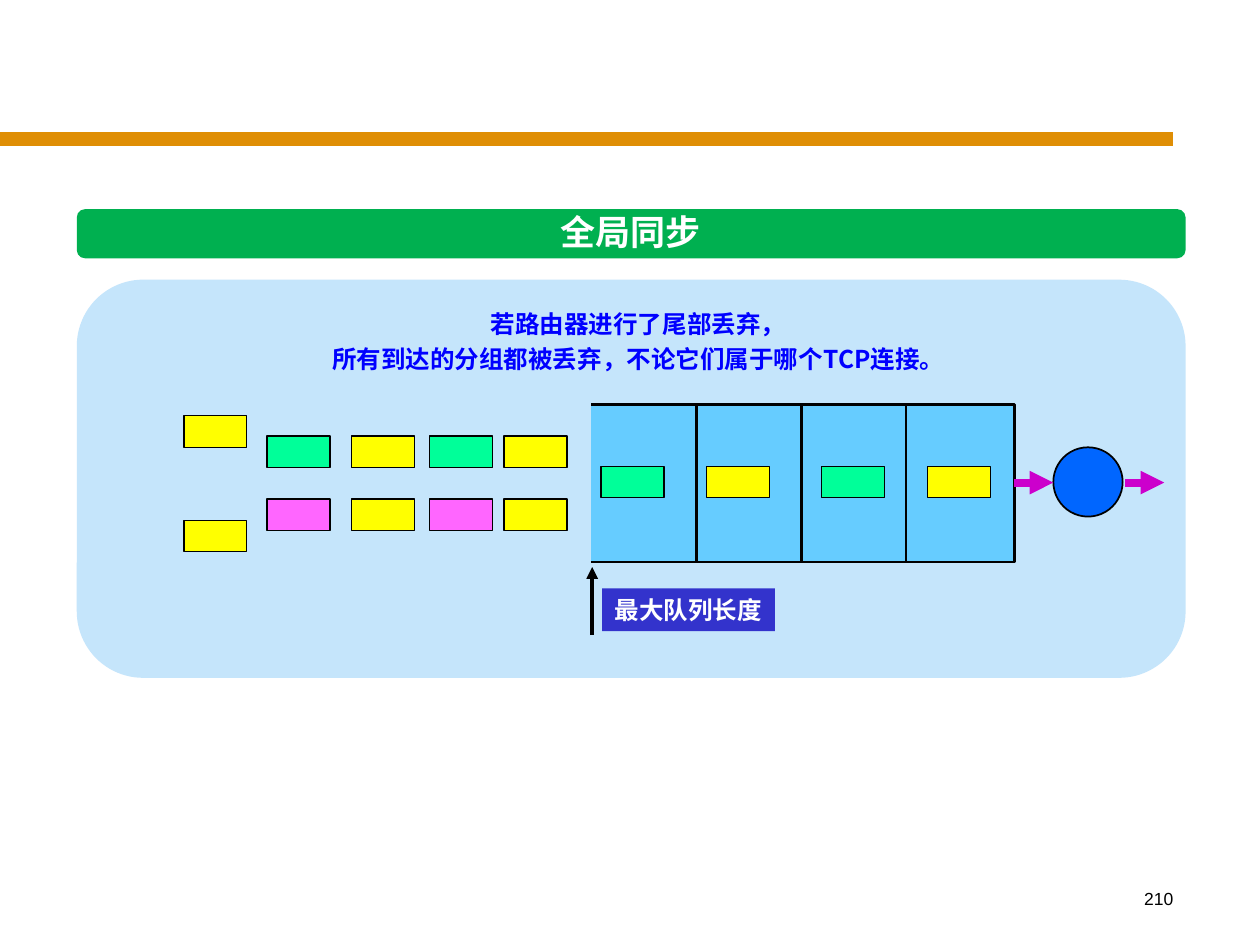
from dataclasses import dataclass

import lxml.etree
import pptx
import pptx.dml.color
import pptx.enum.shapes
import pptx.enum.text
import pptx.oxml.ns
import pptx.util

Inches, Pt = pptx.util.Inches, pptx.util.Pt
Shapes = pptx.enum.shapes.MSO_SHAPE
Align = pptx.enum.text.PP_ALIGN
Anchor = pptx.enum.text.MSO_ANCHOR

CHINESE = "Noto Sans CJK SC"
YELLOW, GREEN, PINK = "FFFF00", "00FF99", "FF66FF"
BLACK, WHITE, MAGENTA = "000000", "FFFFFF", "CC00CC"
QUEUE_LEFT, QUEUE_TOP, QUEUE_RIGHT, QUEUE_BOTTOM = 4.69, 3.21, 8.05, 4.46
LINK_Y = 3.83


@dataclass
class Packet:
    left: float
    top: float
    color: str


@dataclass
class Line:
    start: tuple[float, float]
    end: tuple[float, float]
    color: str
    width: float
    arrow: bool = False


ARRIVING = [
    Packet(left, top, color)
    for top, colors in ((3.46, (GREEN, YELLOW, GREEN, YELLOW)),
                        (3.96, (PINK, YELLOW, PINK, YELLOW)))
    for left, color in zip((2.12, 2.79, 3.41, 4), colors)
] + [Packet(1.46, top, YELLOW) for top in (3.3, 4.13)]
QUEUED = [
    Packet(left, 3.7, color)
    for left, color in zip((4.77, 5.61, 6.52, 7.36), (GREEN, YELLOW) * 2)
]


def rgb(color: str) -> pptx.dml.color.RGBColor:
    return pptx.dml.color.RGBColor.from_string(color)


def add_child(parent, tag: str, **attributes: str):
    child = lxml.etree.SubElement(parent, pptx.oxml.ns.qn(tag))
    for name, value in attributes.items():
        child.set(name, value)
    return child


def style_shape(shape, fill: str, line: str | None = None, width: float = 0.75) -> None:
    shape.shadow.inherit = False
    shape.fill.solid()
    shape.fill.fore_color.rgb = rgb(fill)
    if line is None:
        shape.line.fill.background()
    else:
        shape.line.color.rgb = rgb(line)
        shape.line.width = Pt(width)


def add_box(slide, kind, left: float, top: float, width: float, height: float,
            fill: str, line: str | None = None, line_width: float = 0.75):
    shape = slide.shapes.add_shape(
        kind, Inches(left), Inches(top), Inches(width), Inches(height))
    style_shape(shape, fill, line, line_width)
    return shape


def add_packet(slide, packet: Packet) -> None:
    add_box(slide, Shapes.RECTANGLE, packet.left, packet.top, 0.5, 0.25, packet.color, BLACK)


def add_line(slide, line: Line) -> None:
    connector = slide.shapes.add_connector(
        pptx.enum.shapes.MSO_CONNECTOR.STRAIGHT,
        *map(Inches, line.start + line.end))
    connector.line.color.rgb = rgb(line.color)
    connector.line.width = Pt(line.width)
    if line.arrow:
        add_child(connector.line._get_or_add_ln(), "a:tailEnd", type="triangle")
    add_child(connector._element.spPr, "a:effectLst")


def write_text(shape, lines: list[str], size: float, color: str, align,
               font: str = CHINESE, bold: bool = True, wrap: bool = True,
               anchor=Anchor.TOP, spacing: float | None = None) -> None:
    frame = shape.text_frame
    frame.word_wrap = wrap
    frame.vertical_anchor = anchor
    frame.text = "\n".join(lines)
    for paragraph in frame.paragraphs:
        paragraph.alignment = align
        if spacing:
            paragraph.line_spacing = Pt(spacing)
        paragraph.font.size = Pt(size)
        paragraph.font.bold = bold
        paragraph.font.name = font
        paragraph.font.color.rgb = rgb(color)
        add_child(paragraph.font._element, "a:ea", typeface=font)


def add_text(slide, left: float, top: float, width: float, height: float,
             lines: list[str], **style) -> None:
    box = slide.shapes.add_textbox(
        Inches(left), Inches(top), Inches(width), Inches(height))
    write_text(box, lines, **style)


def add_queue(slide) -> None:
    """Draw the queue, open on the left, with its four cells."""
    builder = slide.shapes.build_freeform(Inches(QUEUE_LEFT), Inches(QUEUE_BOTTOM))
    corners = ((QUEUE_RIGHT, QUEUE_BOTTOM), (QUEUE_RIGHT, QUEUE_TOP), (QUEUE_LEFT, QUEUE_TOP))
    builder.add_line_segments(
        [(Inches(x), Inches(y)) for x, y in corners], close=False)
    style_shape(builder.convert_to_shape(), "66CCFF", BLACK, 1.5)
    for x in (5.53, 6.36, 7.19):
        add_line(slide, Line((x, QUEUE_TOP), (x, QUEUE_BOTTOM), BLACK, 1.5))


def main() -> None:
    presentation = pptx.Presentation()
    presentation.slide_width, presentation.slide_height = Inches(10), Inches(7.5)
    slide = presentation.slides.add_slide(presentation.slide_layouts[6])

    add_line(slide, Line((0, 1.1), (9.31, 1.1), "DF8E05", 8))
    add_text(slide, 7.33, 7, 2.08, 0.5, ["210"], size=10, color=BLACK,
             align=Align.RIGHT, font="Arial", bold=False)

    add_box(slide, Shapes.ROUNDED_RECTANGLE, 0.61, 1.66, 8.8, 0.39, "00B050")
    add_text(slide, 4.35, 1.62, 1.31, 0.44, ["全局同步"], size=20, color=WHITE,
             align=Align.CENTER, wrap=False)

    add_box(slide, Shapes.ROUNDED_RECTANGLE, 0.61, 2.22, 8.8, 3.16, "C5E5FB")
    add_text(slide, 1.81, 2.36, 6.51, 0.66,
             ["若路由器进行了尾部丢弃，", "所有到达的分组都被丢弃，不论它们属于哪个TCP连接。"],
             size=14, color="0000FF", align=Align.CENTER, anchor=Anchor.MIDDLE, spacing=20)

    add_queue(slide)
    for packet in ARRIVING + QUEUED:
        add_packet(slide, packet)

    add_box(slide, Shapes.OVAL, 8.36, 3.55, 0.55, 0.55, "0066FF", BLACK, 1)
    for x in (QUEUE_RIGHT, 8.93):
        add_line(slide, Line((x, LINK_Y), (x + 0.31, LINK_Y), MAGENTA, 4.5, arrow=True))

    add_line(slide, Line((4.7, 5.04), (4.7, 4.5), BLACK, 2.25, arrow=True))
    label = add_box(slide, Shapes.RECTANGLE, 4.78, 4.67, 1.37, 0.34, "3333CC")
    write_text(label, ["最大队列长度"], size=14, color=WHITE, align=Align.LEFT, wrap=False)

    presentation.save("out.pptx")


if __name__ == "__main__":
    main()
